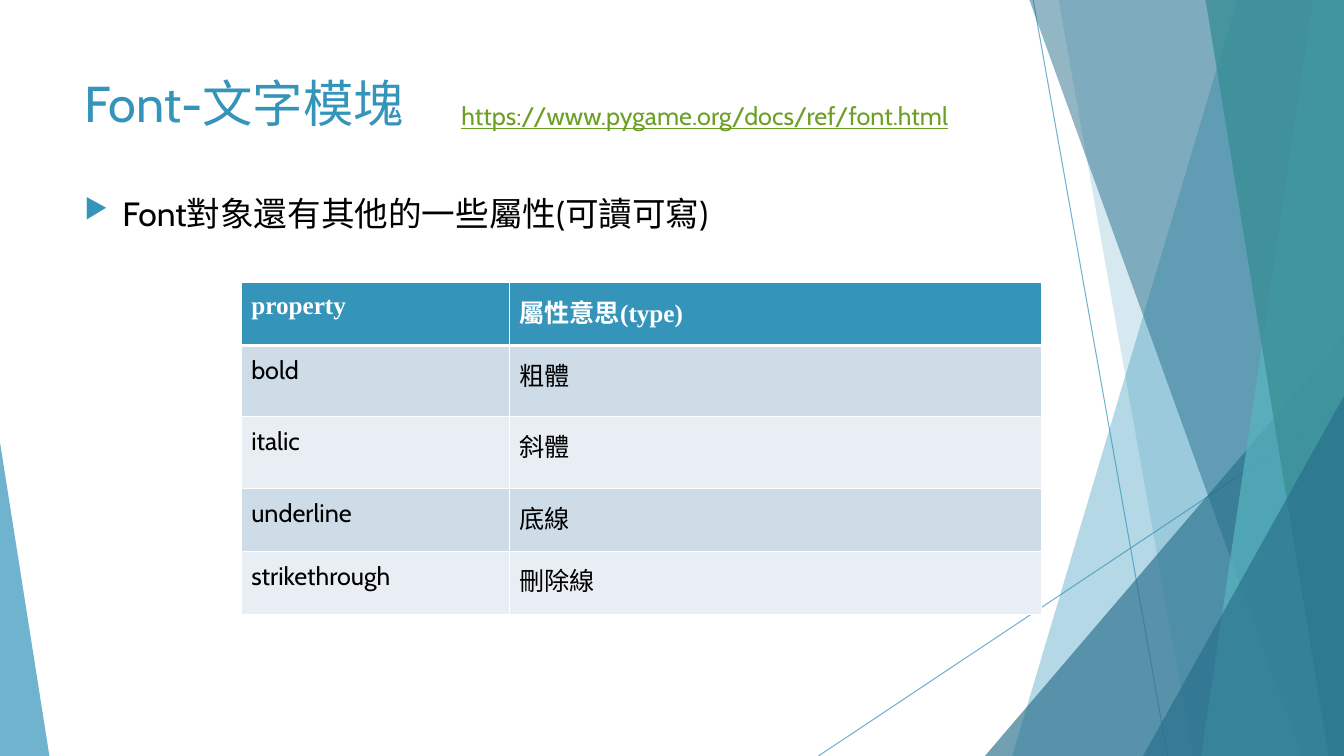
"""Build a slide listing the writable properties of the Font object."""
import dataclasses
import typing

import lxml.etree
import pptx
import pptx.dml.color
import pptx.enum.shapes
import pptx.enum.text
import pptx.oxml
import pptx.oxml.ns
import pptx.util

Pt = pptx.util.Pt
RGBColor = pptx.dml.color.RGBColor
qn = pptx.oxml.ns.qn

BLUE = RGBColor(0x34, 0x94, 0xBA)
DARK_BLUE = RGBColor(0x27, 0x6F, 0x8B)
TEAL = RGBColor(0x58, 0xB6, 0xC0)
DARK_TEAL = RGBColor(0x3A, 0x8F, 0x98)
GREEN = RGBColor(0x6B, 0x9F, 0x25)
BLACK = RGBColor(0, 0, 0)
WHITE = RGBColor(0xFF, 0xFF, 0xFF)
BANDS = [RGBColor(0xCE, 0xDC, 0xE7), RGBColor(0xE8, 0xEE, 0xF3)]

SANS = "Cabin"
SERIF = "Times New Roman"
WIDTH, HEIGHT = 960, 540
TOP = -0.6
FormatValues = dict[str, typing.Any]


@dataclasses.dataclass
class Ray:
    start: tuple[float, float]
    end: tuple[float, float]


@dataclasses.dataclass
class Facet:
    top_left: float
    bottom_left: float
    color: RGBColor
    opacity: int


@dataclasses.dataclass
class Triangle:
    left: float
    top: float
    width: float
    apex: float
    color: RGBColor
    opacity: int


@dataclasses.dataclass
class TextBox:
    bounds: tuple[float, float, float, float]
    text: str
    font: FormatValues
    paragraph: FormatValues
    bullet: bool = False
    grow: bool = False


BACKDROP = [
    Ray((738, 0), (834, HEIGHT)),
    Ray((WIDTH, 290), (584.6, HEIGHT)),
    Facet(884, 723, BLUE, 36),
    Facet(756, 852, BLUE, 20),
    Triangle(703.5, 240, 256.5, 1, DARK_BLUE, 66),
    Facet(735, 929.5, DARK_BLUE, 50),
    Facet(938, 858, TEAL, 70),
    Facet(861, 949, DARK_TEAL, 80),
    Triangle(816.5, 283, 143.5, 1, DARK_BLUE, 66),
    Triangle(0, 316, 35.3, 0, BLUE, 70),
]

TEXT_BOXES = [
    TextBox((53.3, 48, 677, 65), "Font-文字模塊",
            {"size": Pt(36), "name": SANS, "color": BLUE}, {}),
    TextBox((53.3, 119.5, 859, 402), "Font對象還有其他的一些屬性(可讀可寫)",
            {"size": Pt(24), "name": SANS, "color": BLACK},
            {"alignment": pptx.enum.text.PP_ALIGN.JUSTIFY, "line_spacing": 1.5},
            bullet=True),
    TextBox((322.5, 68.4, 480, 51), "https://www.pygame.org/docs/ref/font.html",
            {"size": Pt(18), "name": SANS, "color": GREEN, "underline": True}, {},
            grow=True),
]

PROPERTIES = [
    ("property", "屬性意思(type)"),
    ("bold", "粗體"),
    ("italic", "斜體"),
    ("underline", "底線"),
    ("strikethrough", "刪除線"),
]
COLUMN_WIDTHS = [191.5, 380]
ROW_HEIGHTS = [45, 51, 51, 45, 45]


def apply_format(target: typing.Any, values: FormatValues) -> None:
    """Set each named attribute, sending a colour to the font colour."""
    for name, value in values.items():
        if name == "color":
            target.color.rgb = value
        else:
            setattr(target, name, value)


def write_text(paragraph: typing.Any, text: str, font: FormatValues,
               layout: FormatValues) -> None:
    """Write one formatted run into a paragraph."""
    apply_format(paragraph, layout)
    run = paragraph.add_run()
    run.text = text
    apply_format(run.font, font)


def set_opacity(shape: typing.Any, opacity: int) -> None:
    """Give every solid colour of a shape the opacity in percent."""
    for color in shape._element.spPr.iter(qn("a:srgbClr")):
        lxml.etree.SubElement(color, qn("a:alpha"), val=str(opacity * 1000))


def draw_ray(shapes: typing.Any, ray: Ray) -> None:
    """Draw a thin straight line."""
    connector = shapes.add_connector(
        pptx.enum.shapes.MSO_CONNECTOR.STRAIGHT,
        *(Pt(value) for value in ray.start + ray.end))
    connector.line.color.rgb = BLUE
    connector.line.width = Pt(0.75)
    set_opacity(connector, 70)
    lxml.etree.SubElement(connector._element.spPr, qn("a:effectLst"))


def draw_panel(shapes: typing.Any, panel: Facet | Triangle) -> None:
    """Draw a translucent facet or triangle reaching the slide's bottom."""
    if isinstance(panel, Facet):
        builder = shapes.build_freeform(panel.top_left, TOP, scale=float(Pt(1)))
        builder.add_line_segments(
            [(WIDTH, TOP), (WIDTH, HEIGHT), (panel.bottom_left, HEIGHT)])
        shape = builder.convert_to_shape()
    else:
        shape = shapes.add_shape(
            pptx.enum.shapes.MSO_SHAPE.ISOSCELES_TRIANGLE, Pt(panel.left),
            Pt(panel.top), Pt(panel.width), Pt(HEIGHT - panel.top))
        shape.adjustments[0] = panel.apex
    shape.shadow.inherit = False
    shape.fill.solid()
    shape.fill.fore_color.rgb = panel.color
    shape.line.fill.background()
    set_opacity(shape, panel.opacity)


def add_bullet(paragraph: typing.Any) -> None:
    """Add a blue arrow bullet with a hanging indent."""
    properties = paragraph._p.get_or_add_pPr()
    properties.set("marL", str(Pt(27)))
    properties.set("indent", str(Pt(-27)))
    color = lxml.etree.SubElement(properties, qn("a:buClr"))
    lxml.etree.SubElement(color, qn("a:srgbClr"), val=str(BLUE))
    lxml.etree.SubElement(properties, qn("a:buSzPct"), val="80000")
    lxml.etree.SubElement(properties, qn("a:buChar"), char="▶")


def draw_text_box(shapes: typing.Any, box: TextBox) -> None:
    """Draw a wrapped text box with one paragraph."""
    frame = shapes.add_textbox(*(Pt(value) for value in box.bounds)).text_frame
    frame.word_wrap = True
    if box.grow:
        frame.auto_size = pptx.enum.text.MSO_AUTO_SIZE.SHAPE_TO_FIT_TEXT
    paragraph = frame.paragraphs[0]
    if box.bullet:
        add_bullet(paragraph)
    write_text(paragraph, box.text, box.font, box.paragraph)


def set_borders(cell: typing.Any, widths: dict[str, float]) -> None:
    """Give a cell white borders of the given widths."""
    properties = cell._tc.get_or_add_tcPr()
    for position, (side, width) in enumerate(widths.items()):
        border = pptx.oxml.parse_xml(
            f'<a:{side} {pptx.oxml.ns.nsdecls("a")} w="{Pt(width)}"><a:solidFill>'
            f'<a:srgbClr val="{WHITE}"/></a:solidFill></a:{side}>')
        properties.insert(position, border)


def draw_table(shapes: typing.Any) -> None:
    """Draw the table of font properties."""
    table = shapes.add_table(
        len(PROPERTIES), len(COLUMN_WIDTHS), Pt(172.3), Pt(201.8),
        Pt(sum(COLUMN_WIDTHS)), Pt(sum(ROW_HEIGHTS))).table
    for column, width in zip(table.columns, COLUMN_WIDTHS):
        column.width = Pt(width)
    for row_index, (row, height) in enumerate(zip(table.rows, ROW_HEIGHTS)):
        row.height = Pt(height)
        header = row_index == 0
        for column_index, cell in enumerate(row.cells):
            cell.fill.solid()
            cell.fill.fore_color.rgb = BLUE if header else BANDS[(row_index - 1) % 2]
            set_borders(cell, {"lnL": 1, "lnR": 1, "lnT": 3 if row_index == 1 else 1,
                               "lnB": 3 if header else 1})
            font = {"size": Pt(18), "bold": header,
                    "name": SERIF if header or column_index else SANS,
                    "color": WHITE if header else BLACK}
            write_text(cell.text_frame.paragraphs[0],
                       PROPERTIES[row_index][column_index], font,
                       {"line_spacing": 1.15, "space_after": Pt(8)})


def main() -> None:
    """Build and save the presentation."""
    presentation = pptx.Presentation()
    presentation.slide_width, presentation.slide_height = Pt(WIDTH), Pt(HEIGHT)
    shapes = presentation.slides.add_slide(presentation.slide_layouts[6]).shapes
    for item in BACKDROP:
        if isinstance(item, Ray):
            draw_ray(shapes, item)
        else:
            draw_panel(shapes, item)
    for box in TEXT_BOXES:
        draw_text_box(shapes, box)
    draw_table(shapes)
    presentation.save("out.pptx")


if __name__ == "__main__":
    main()
